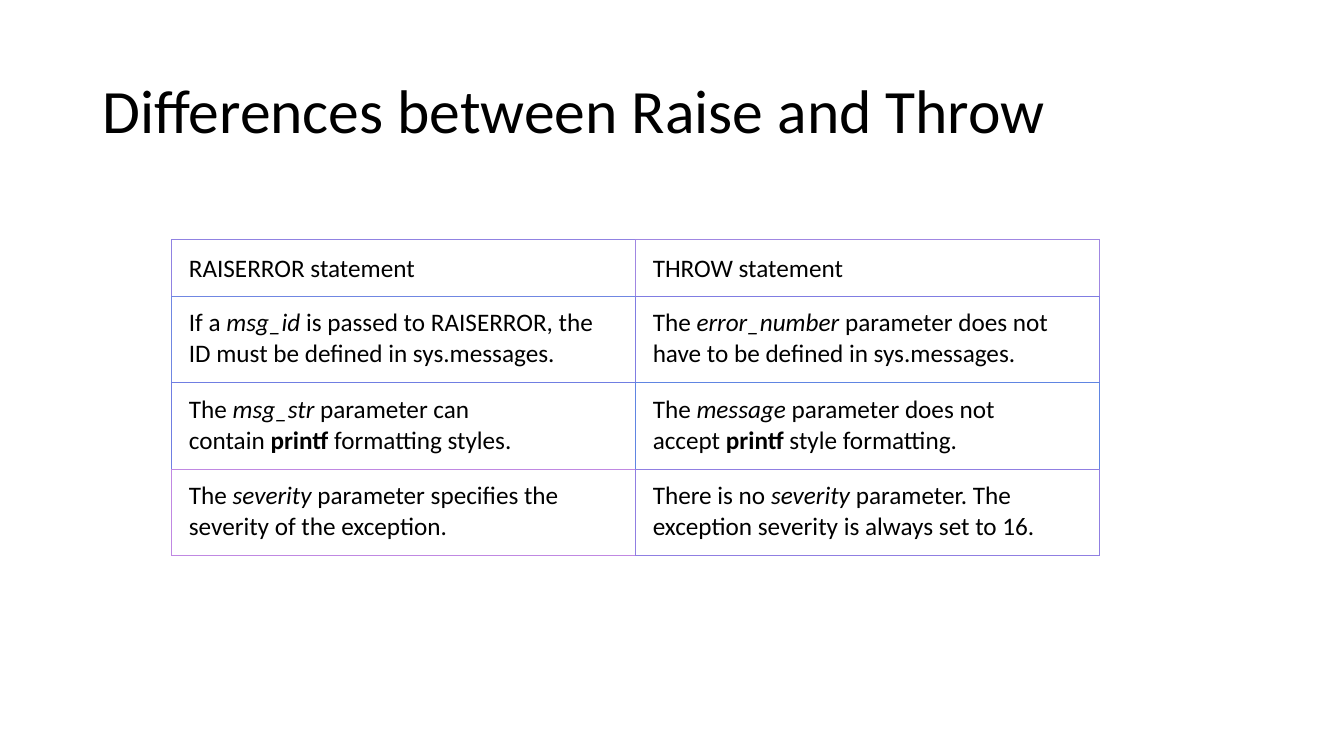
from lxml.etree import SubElement
from pptx import Presentation
from pptx.dml.color import RGBColor
from pptx.enum.text import MSO_ANCHOR
from pptx.oxml.ns import qn
from pptx.util import Cm, Pt

FONT = "Calibri"
BLACK = RGBColor(0x00, 0x00, 0x00)
CELL_COLOURS = [
    [RGBColor(0x90, 0x82, 0xE2), RGBColor(0xA0, 0x87, 0xE2)],
    [RGBColor(0x70, 0x87, 0xE2), RGBColor(0x80, 0x7D, 0xE2)],
    [RGBColor(0x70, 0x7E, 0xE2), RGBColor(0x60, 0x85, 0xE2)],
    [RGBColor(0xC0, 0x88, 0xE2), RGBColor(0x90, 0x7F, 0xE2)],
]

# Each cell is a list of runs; "*" starts an italic run and "#" a bold one.
COMPARISON = [
    [["RAISERROR statement"], ["THROW statement"]],
    [
        ["If a\u00a0", "*msg_id",
         "\u00a0is passed to RAISERROR, the ID must be defined in sys.messages."],
        ["The\u00a0", "*error_number",
         "\u00a0parameter does not have to be defined in sys.messages."],
    ],
    [
        ["The\u00a0", "*msg_str", "\u00a0parameter can contain\u00a0",
         "#printf", "\u00a0formatting styles."],
        ["The\u00a0", "*message", "\u00a0parameter does not accept\u00a0",
         "#printf", "\u00a0style formatting."],
    ],
    [
        ["The\u00a0", "*severity",
         "\u00a0parameter specifies the severity of the exception."],
        ["There is no\u00a0", "*severity",
         "\u00a0parameter. The exception severity is always set to 16."],
    ],
]


def format_run(run, size):
    """Apply the slide's font and colour to a run."""
    run.font.name = FONT
    run.font.size = Pt(size)
    run.font.color.rgb = BLACK


def add_title(slide, text, left, top, width, height):
    """Place the slide title, centred vertically in its box."""
    text_frame = slide.shapes.add_textbox(left, top, width, height).text_frame
    text_frame.word_wrap = True
    text_frame.vertical_anchor = MSO_ANCHOR.MIDDLE
    text_frame.text = text
    paragraph = text_frame.paragraphs[0]
    paragraph.line_spacing = 0.9
    format_run(paragraph.runs[0], 44)


def fill_cell(cell, parts):
    """Write the marked runs into a cell and set its margins."""
    cell.margin_left = cell.margin_right = Cm(0.43)
    cell.margin_top = cell.margin_bottom = Cm(0.3)
    paragraph = cell.text_frame.paragraphs[0]
    for part in parts:
        run = paragraph.add_run()
        run.text = part.lstrip("*#")
        format_run(run, 18)
        run.font.italic = part.startswith("*")
        run.font.bold = part.startswith("#")


def set_borders(cell, row, column):
    """Draw a cell's borders; a shared edge takes the colour of the later cell."""
    last_row = len(CELL_COLOURS) - 1
    last_column = len(CELL_COLOURS[0]) - 1
    own = CELL_COLOURS[row][column]
    right = CELL_COLOURS[row][min(column + 1, last_column)]
    below = CELL_COLOURS[min(row + 1, last_row)][column]
    borders = [
        ("a:lnL", own, 1),
        ("a:lnR", right, 1),
        ("a:lnT", own, 0.75 if row > 0 else 1),
        ("a:lnB", below, 0.75 if row < last_row else 1),
    ]
    properties = cell._tc.get_or_add_tcPr()
    for tag, colour, width in borders:
        line = SubElement(properties, qn(tag), w=str(Pt(width)))
        solid_fill = SubElement(line, qn("a:solidFill"))
        SubElement(solid_fill, qn("a:srgbClr"), val=str(colour))


def add_comparison_table(slide, rows, left, top, width, height):
    """Place the two-column comparison with a lower header row."""
    header_height = Cm(1.42)
    shape = slide.shapes.add_table(len(rows), len(rows[0]), left, top, width, height)
    table = shape.table
    table.first_row = table.horz_banding = False
    body_height = (height - header_height) // (len(rows) - 1)
    for row, contents in enumerate(rows):
        table.rows[row].height = body_height if row else header_height
        for column, parts in enumerate(contents):
            cell = table.cell(row, column)
            fill_cell(cell, parts)
            cell.vertical_anchor = MSO_ANCHOR.TOP if row else MSO_ANCHOR.BOTTOM
            set_borders(cell, row, column)
            cell.fill.background()


presentation = Presentation()
presentation.slide_width = Cm(33.87)
presentation.slide_height = Cm(19.05)
slide = presentation.slides.add_slide(presentation.slide_layouts[6])
add_title(slide, "Differences between Raise and Throw",
          Cm(2.33), Cm(1.01), Cm(29.21), Cm(3.68))
add_comparison_table(slide, COMPARISON, Cm(4.33), Cm(6.04), Cm(23.38), Cm(7.96))
presentation.save("out.pptx")
